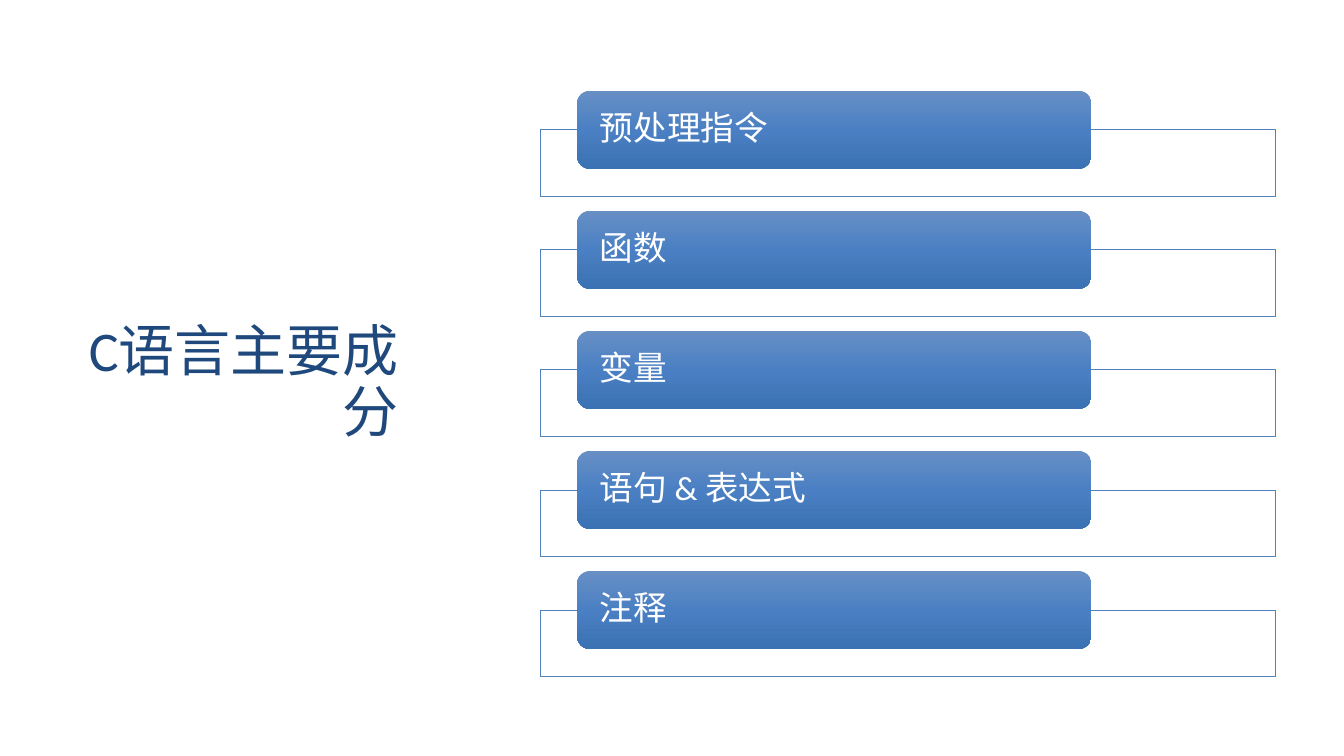
from dataclasses import dataclass

from lxml import etree
from pptx import Presentation
from pptx.dml.color import RGBColor
from pptx.enum.shapes import MSO_SHAPE
from pptx.enum.text import MSO_ANCHOR, PP_ALIGN
from pptx.oxml import parse_xml
from pptx.oxml.ns import nsdecls, qn
from pptx.util import Inches, Pt


@dataclass(frozen=True)
class Theme:
    font: str = "Calibri"
    title_size: int = 40
    label_size: int = 24
    title_color: str = "1F497D"
    white: str = "FFFFFF"
    frame_line: str = "4F81BD"
    gradient: tuple = ((0, "688FC5"), (50, "4A80C3"), (100, "3B72B3"))


@dataclass(frozen=True)
class Box:
    left: float
    top: float
    width: float
    height: float

    def inner(self, left, top, width, height):
        """Box inside this one, given as shares of its size."""
        return Box(self.left + left * self.width, self.top + top * self.height,
                   width * self.width, height * self.height)

    def place(self):
        return [Inches(v) for v in (self.left, self.top, self.width, self.height)]


THEME = Theme()
SLIDE = Box(0, 0, 13.33, 7.5)
TITLE = "C语言主要成分"
COMPONENTS = ["预处理指令", "函数", "变量", "语句 & 表达式", "注释"]


def percent_box(left, top, width, height):
    """Box in percent of the slide's size."""
    return SLIDE.inner(left / 100, top / 100, width / 100, height / 100)


def write_text(holder, text, *, size, color, align=PP_ALIGN.LEFT,
               anchor=MSO_ANCHOR.MIDDLE, margins=(0.1, 0.05), space_after=0):
    frame = holder.text_frame
    frame.word_wrap = True
    frame.vertical_anchor = anchor
    frame.margin_left = frame.margin_right = Inches(margins[0])
    frame.margin_top = frame.margin_bottom = Inches(margins[1])
    paragraph = frame.paragraphs[0]
    paragraph.alignment = align
    paragraph.line_spacing = 0.9
    paragraph.space_after = Pt(space_after)
    run = paragraph.add_run()
    run.text = text
    run.font.name = THEME.font
    run.font.size = Pt(size)
    run.font.color.rgb = RGBColor.from_string(color)


def fill_gradient(shape):
    shape.fill.gradient()
    stops = "".join(f'<a:gs pos="{pos * 1000}"><a:srgbClr val="{color}"/></a:gs>'
                    for pos, color in THEME.gradient)
    gradient = shape._element.spPr.find(qn("a:gradFill"))
    gradient.getparent().replace(gradient, parse_xml(
        f'<a:gradFill {nsdecls("a")} rotWithShape="1"><a:gsLst>{stops}</a:gsLst>'
        '<a:lin ang="5400000" scaled="0"/></a:gradFill>'))


def add_title(slide, box):
    title = slide.shapes.add_textbox(*box.place())
    write_text(title, TITLE, size=THEME.title_size, color=THEME.title_color,
               align=PP_ALIGN.RIGHT, anchor=MSO_ANCHOR.BOTTOM, space_after=6)


def add_component(slide, box, name):
    # Outlined frame behind the label
    frame = slide.shapes.add_shape(MSO_SHAPE.RECTANGLE,
                                   *box.inner(0, 0.37, 1, 0.63).place())
    frame.shadow.inherit = False
    frame.fill.solid()
    frame.fill.fore_color.rgb = RGBColor.from_string(THEME.white)
    color = frame._element.spPr.find(qn("a:solidFill"))[0]
    etree.SubElement(color, qn("a:alpha"), val="90000")
    frame.line.color.rgb = RGBColor.from_string(THEME.frame_line)
    frame.line.width = Pt(0.5)

    # Rounded label
    label = slide.shapes.add_shape(MSO_SHAPE.ROUNDED_RECTANGLE,
                                   *box.inner(0.05, 0, 0.7, 0.74).place())
    label.shadow.inherit = False
    fill_gradient(label)
    label.line.fill.background()
    write_text(label, name, size=THEME.label_size, color=THEME.white,
               margins=(0.19, 0))


def add_component_list(slide, box):
    row_share = 0.18
    pitch = (1 - row_share) / (len(COMPONENTS) - 1)
    for index, name in enumerate(COMPONENTS):
        add_component(slide, box.inner(0, index * pitch, 1, row_share), name)


def main():
    deck = Presentation()
    deck.slide_width, deck.slide_height = Inches(SLIDE.width), Inches(SLIDE.height)
    slide = deck.slides.add_slide(deck.slide_layouts[6])
    add_title(slide, percent_box(4.8, 24.53, 25.58, 34.93))
    add_component_list(slide, percent_box(40.2, 12, 54.68, 77.47))
    deck.save("out.pptx")


if __name__ == "__main__":
    main()
